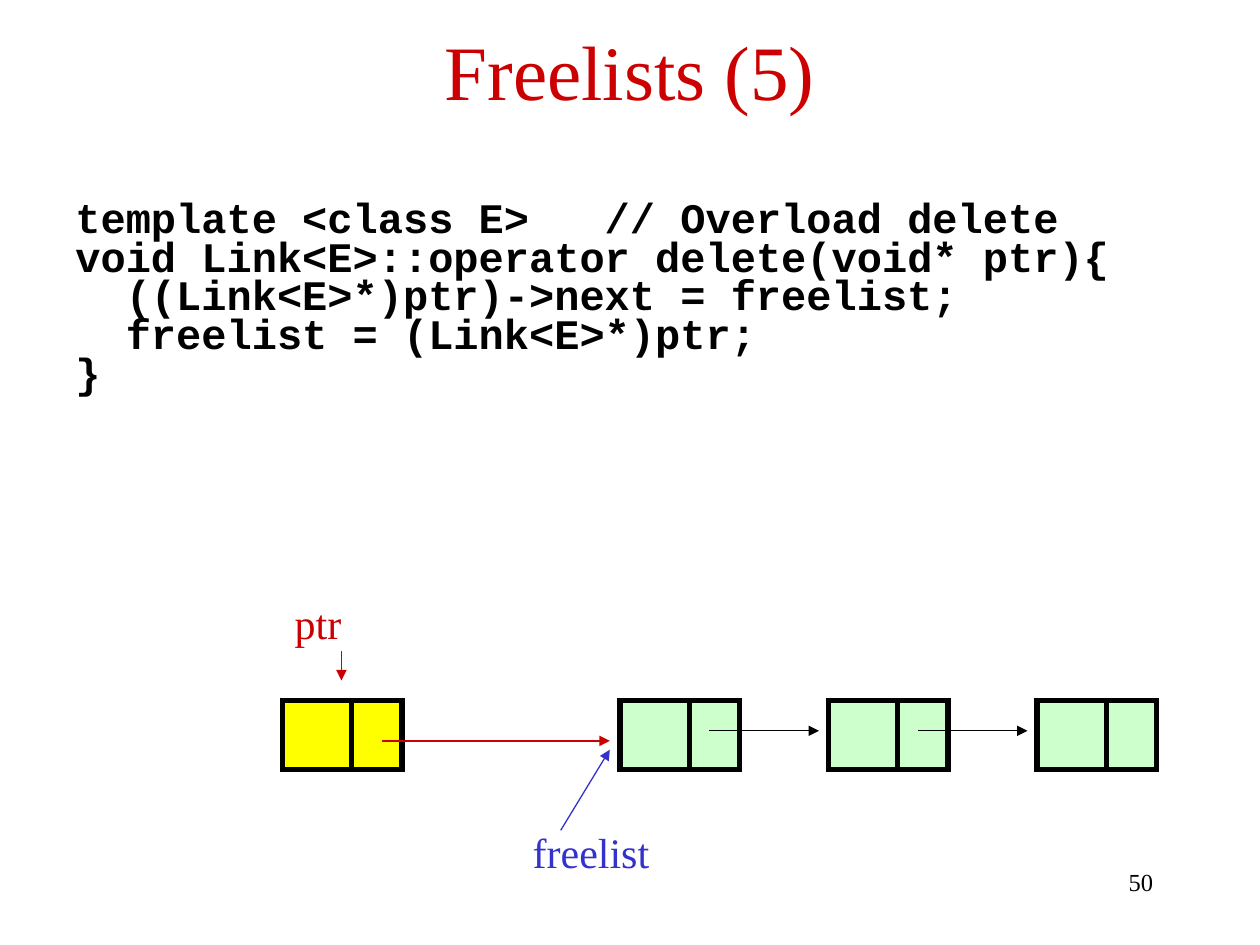
from lxml import etree
from pptx import Presentation
from pptx.dml.color import RGBColor
from pptx.enum import shapes, text
from pptx.oxml.ns import qn
from pptx.util import Inches, Pt

COLORS = {
    "red": "CC0000",
    "blue": "3333CC",
    "black": "000000",
    "yellow": "FFFF00",
    "green": "CCFFCC",
}
SERIF, MONO = "Times New Roman", "Courier New"
NODE_TOP, NODE_W, NODE_H = 5.56, 0.95, 0.55

# Code lines with their indent in inches
CODE = [
    ("template <class E>   // Overload delete", 0),
    ("void Link<E>::operator delete(void* ptr){", 0),
    ("((Link<E>*)ptr)->next = freelist;", 0.4),
    ("freelist = (Link<E>*)ptr;", 0.4),
    ("}", 0),
]


def rgb(name):
    return RGBColor.from_string(COLORS[name])


def add_run(p, words, size, color, font=SERIF, bold=False):
    r = p.add_run()
    r.text = words
    r.font.size = Pt(size)
    r.font.name = font
    r.font.bold = bold
    r.font.color.rgb = rgb(color)


def add_box(s, left, top, width, height, wrap=True):
    tf = s.shapes.add_textbox(*map(Inches, (left, top, width, height))).text_frame
    tf.word_wrap = wrap
    if not wrap:
        tf.auto_size = text.MSO_AUTO_SIZE.SHAPE_TO_FIT_TEXT
    return tf


def add_label(s, words, box, size, color, align=text.PP_ALIGN.LEFT,
              anchor=text.MSO_ANCHOR.TOP, wrap=True):
    tf = add_box(s, *box, wrap=wrap)
    tf.vertical_anchor = anchor
    p = tf.paragraphs[0]
    p.alignment = align
    add_run(p, words, size, color)


def add_code(s):
    tf = add_box(s, 0.5, 1.15, 9, 5)
    tf.margin_top = Inches(0.46)
    for i, (words, indent) in enumerate(CODE):
        p = tf.paragraphs[0] if i == 0 else tf.add_paragraph()
        p.line_spacing = Pt(22.2)
        pPr = p._p.get_or_add_pPr()
        pPr.set("marL", str(Inches(indent)))
        pPr.set("indent", "0")
        add_run(p, words, 24, "black", MONO, True)


def add_line(s, start, end, color="black", width=0.75, arrow=True):
    c = s.shapes.add_connector(shapes.MSO_CONNECTOR.STRAIGHT,
                               *map(Inches, (*start, *end)))
    c.line.color.rgb = rgb(color)
    c.line.width = Pt(width)
    if arrow:
        etree.SubElement(c.line._get_or_add_ln(), qn("a:tailEnd"), type="triangle")
    etree.SubElement(c._element.spPr, qn("a:effectLst"))


def add_node(s, left, fill):
    sp = s.shapes.add_shape(shapes.MSO_SHAPE.RECTANGLE,
                            *map(Inches, (left, NODE_TOP, NODE_W, NODE_H)))
    sp.shadow.inherit = False
    sp.fill.solid()
    sp.fill.fore_color.rgb = rgb(fill)
    sp.line.color.rgb = rgb("black")
    sp.line.width = Pt(3)
    # Square corners
    etree.SubElement(sp.line._get_or_add_ln(), qn("a:miter"), lim="800000")
    # Divider between the element and next fields
    x = left + 0.55
    add_line(s, (x, NODE_TOP), (x, NODE_TOP + NODE_H), width=3, arrow=False)


def main():
    prs = Presentation()
    prs.slide_width, prs.slide_height = Inches(10), Inches(7.5)
    s = prs.slides.add_slide(prs.slide_layouts[6])

    # Title and code
    add_label(s, "Freelists (5)", (0.5, 0.05, 9, 1), 44, "red",
              text.PP_ALIGN.CENTER, text.MSO_ANCHOR.MIDDLE)
    add_code(s)

    # Freed node and the free list
    add_node(s, 2.24, "yellow")
    free_nodes = [4.92 + 1.655 * i for i in range(3)]
    for left in free_nodes:
        add_node(s, left, "green")
    for left in free_nodes[:-1]:
        add_line(s, (left + 0.71, 5.8), (left + 1.58, 5.8))

    # Pointers
    add_line(s, (4.45, 6.59), (4.84, 5.95), "blue")
    add_label(s, "freelist", (4.13, 6.51, 1.14, 0.5), 24, "blue", wrap=False)
    add_label(s, "ptr", (2.24, 4.69, 0.58, 0.5), 24, "red", wrap=False)
    add_line(s, (2.71, 5.17), (2.71, 5.4), "red")
    add_line(s, (3.03, 5.88), (4.84, 5.88), "red")

    # Slide number
    add_label(s, "50", (7.17, 6.83, 2.08, 0.5), 14, "black", text.PP_ALIGN.RIGHT)

    prs.save("out.pptx")


main()
